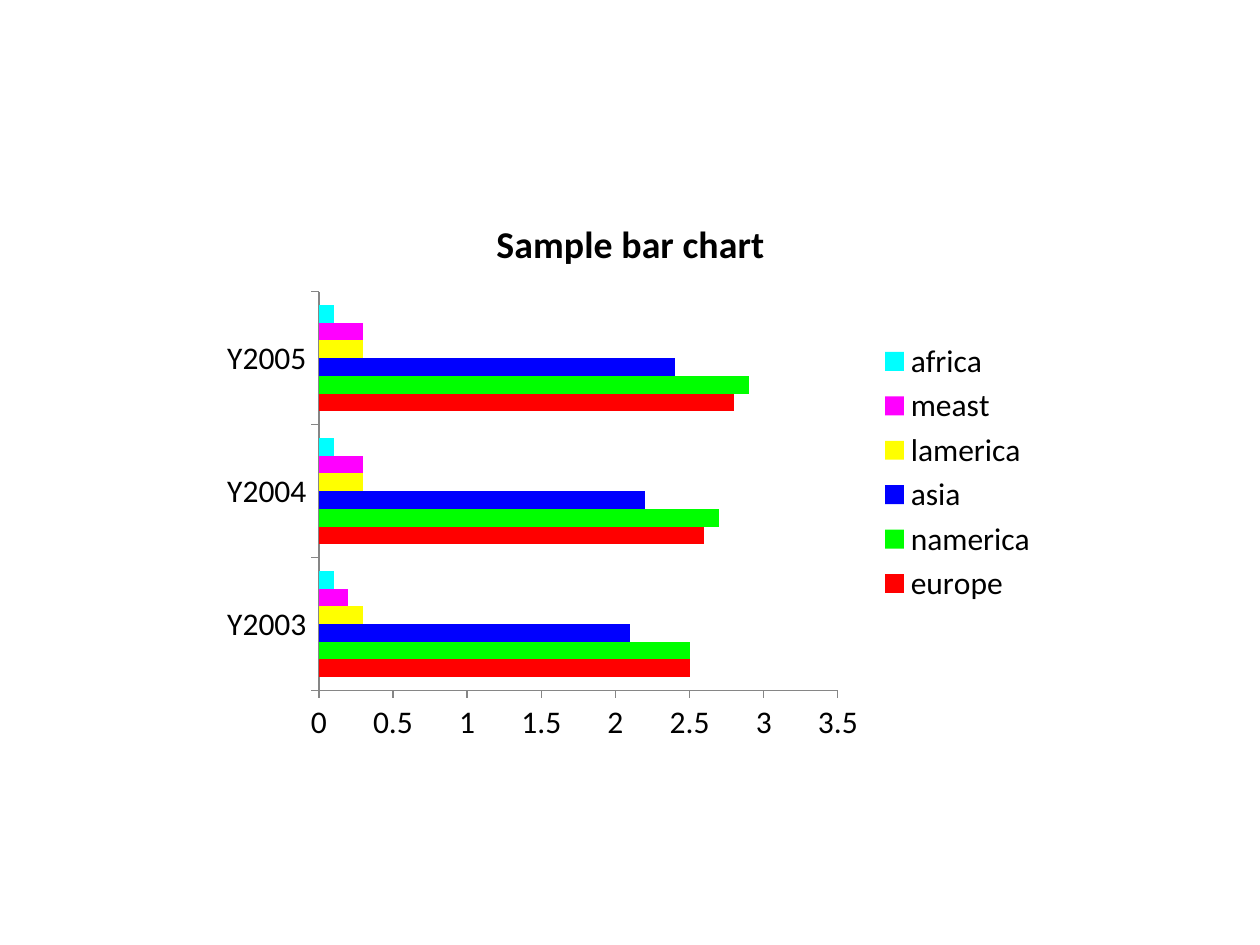
from dataclasses import dataclass

from pptx import Presentation
from pptx.chart.data import CategoryChartData
from pptx.dml.color import RGBColor
from pptx.enum.chart import XL_CHART_TYPE, XL_LEGEND_POSITION, XL_TICK_MARK
from pptx.util import Inches, Pt


@dataclass(frozen=True)
class Theme:
    font: str = "Calibri"
    text: str = "000000"
    axis: str = "868686"
    body: float = 18
    title: float = 21.6


THEME = Theme()
YEARS = ["Y2003", "Y2004", "Y2005"]
REGIONS = [
    ("europe", "FF0000", (2.5, 2.6, 2.8)),
    ("namerica", "00FF00", (2.5, 2.7, 2.9)),
    ("asia", "0000FF", (2.1, 2.2, 2.4)),
    ("lamerica", "FFFF00", (0.3, 0.3, 0.3)),
    ("meast", "FF00FF", (0.2, 0.3, 0.3)),
    ("africa", "00FFFF", (0.1, 0.1, 0.1)),
]


def set_font(font, size, bold=False):
    font.name = THEME.font
    font.size = Pt(size)
    font.bold = bold
    font.color.rgb = RGBColor.from_string(THEME.text)


def add_bar_chart(s, title, left, top, width, height):
    # Data
    data = CategoryChartData()
    data.categories = YEARS
    for name, _, values in REGIONS:
        data.add_series(name, values)
    chart = s.shapes.add_chart(
        XL_CHART_TYPE.BAR_CLUSTERED, Inches(left), Inches(top),
        Inches(width), Inches(height), data).chart
    set_font(chart.font, THEME.body)

    # Title
    chart.has_title = True
    p = chart.chart_title.text_frame.paragraphs[0]
    p.add_run().text = title
    set_font(p.font, THEME.title, bold=True)
    chart.chart_title.include_in_layout = False

    # Legend
    chart.has_legend = True
    chart.legend.position = XL_LEGEND_POSITION.RIGHT
    chart.legend.include_in_layout = False

    # Axes
    for axis in (chart.category_axis, chart.value_axis):
        axis.has_major_gridlines = False
        axis.major_tick_mark = XL_TICK_MARK.OUTSIDE
        axis.minor_tick_mark = XL_TICK_MARK.NONE
        axis.format.line.color.rgb = RGBColor.from_string(THEME.axis)
        axis.format.line.width = Pt(0.75)
    chart.value_axis.minimum_scale = 0
    chart.value_axis.maximum_scale = 3.5
    chart.value_axis.major_unit = 0.5

    # Bars
    plot = chart.plots[0]
    plot.vary_by_categories = False
    plot.gap_width = 150
    for series, (_, color, _) in zip(plot.series, REGIONS):
        series.invert_if_negative = False
        series.format.fill.solid()
        series.format.fill.fore_color.rgb = RGBColor.from_string(color)


prs = Presentation()
prs.slide_width, prs.slide_height = Inches(10), Inches(7.5)
s = prs.slides.add_slide(prs.slide_layouts[6])
add_bar_chart(s, "Sample bar chart", 1.67, 1.53, 6.67, 4.44)
prs.save("out.pptx")
